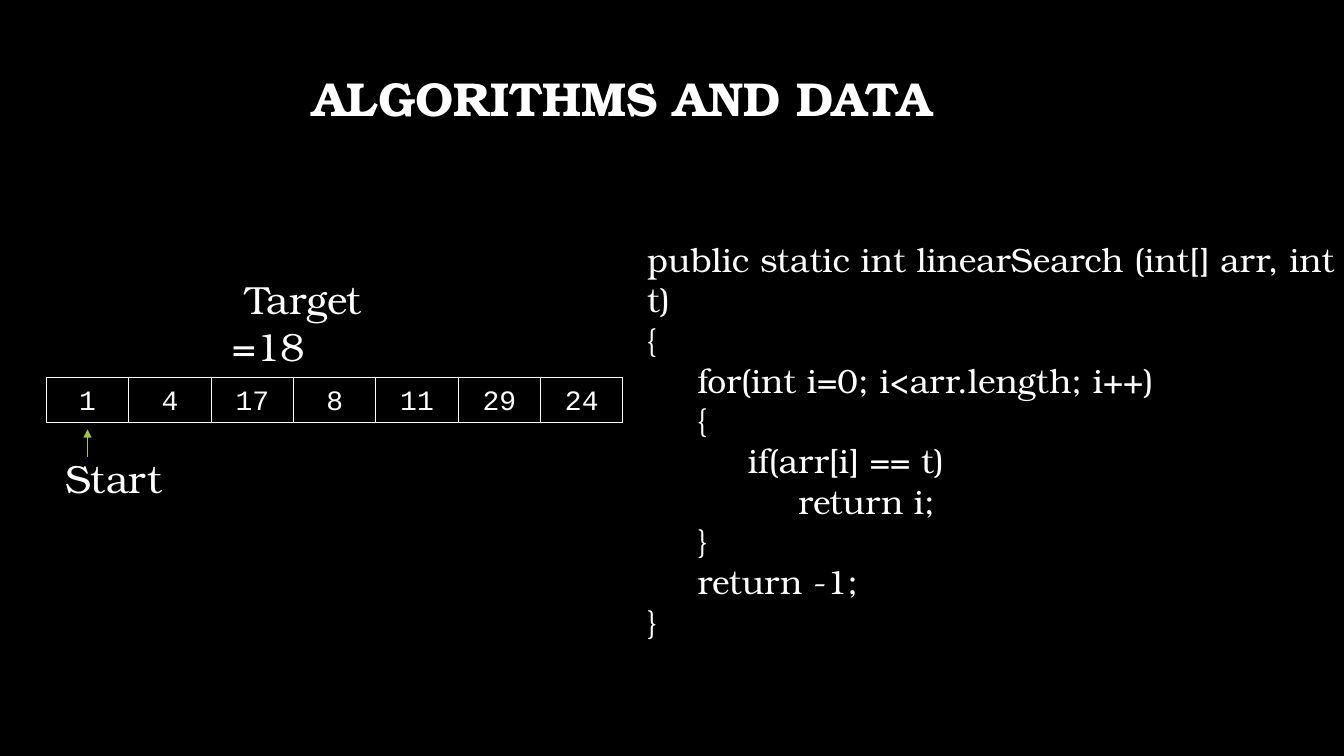
from pptx import Presentation
from pptx.dml.color import RGBColor
from pptx.enum.shapes import MSO_CONNECTOR, MSO_SHAPE
from pptx.enum.text import MSO_ANCHOR, PP_ALIGN
from pptx.oxml.ns import qn
from pptx.util import Inches, Pt
from lxml.etree import SubElement

COLORS = {"background": "000000", "text": "FFFFFF", "arrow": "9EC544"}
SERIF, MONO = "TeX Gyre Bonum", "Courier New"

ARRAY = [1, 4, 17, 8, 11, 29, 24]
CELL_LEFT, CELL_TOP, CELL_PITCH, CELL_HEIGHT = 0.46, 3.75, 0.817, 0.44

# Code lines with their indent in steps of half an inch
CODE = [
    (0, "public static int linearSearch (int[] arr, int t)"),
    (0, "{"),
    (1, "for(int i=0; i<arr.length; i++)"),
    (1, "{"),
    (2, "if(arr[i] == t)"),
    (3, "return i;"),
    (1, "}"),
    (1, "return -1;"),
    (0, "}"),
]


def color(name):
    return RGBColor.from_string(COLORS[name])


def style(p, size, font=SERIF, bold=False):
    for r in p.runs:
        r.font.size = Pt(size)
        r.font.name = font
        r.font.bold = bold
        r.font.color.rgb = color("text")


def add_text(s, box, lines, size, bold=False):
    """Add a text box from (indent, text) lines."""
    sp = s.shapes.add_textbox(*map(Inches, box))
    tf = sp.text_frame
    tf.word_wrap = True
    for i, (indent, text) in enumerate(lines):
        p = tf.add_paragraph() if i else tf.paragraphs[0]
        p.text = text
        if indent:
            p.level = indent
            pPr = p._p.get_or_add_pPr()
            pPr.set("marL", str(Inches(0.5 * indent)))
            pPr.set("indent", "0")
        style(p, size, bold=bold)
    return tf


def add_cell(s, index, value):
    sp = s.shapes.add_shape(
        MSO_SHAPE.RECTANGLE, Inches(CELL_LEFT + index * CELL_PITCH),
        Inches(CELL_TOP), Inches(CELL_PITCH), Inches(CELL_HEIGHT))
    sp.shadow.inherit = False
    sp.fill.background()
    sp.line.color.rgb = color("text")
    sp.line.width = Pt(0.75)
    tf = sp.text_frame
    tf.vertical_anchor = MSO_ANCHOR.TOP
    tf.text = str(value)
    p = tf.paragraphs[0]
    p.alignment = PP_ALIGN.CENTER
    style(p, 20, MONO)


def add_arrow(s, x, y_from, y_to):
    line = s.shapes.add_connector(
        MSO_CONNECTOR.STRAIGHT, *map(Inches, (x, y_from, x, y_to)))
    line.line.color.rgb = color("arrow")
    line.line.width = Pt(1)
    SubElement(line.line._get_or_add_ln(), qn("a:tailEnd"), type="triangle")
    SubElement(line._element.spPr, qn("a:effectLst"))


def main():
    prs = Presentation()
    prs.slide_width, prs.slide_height = Inches(13.33), Inches(7.5)
    s = prs.slides.add_slide(prs.slide_layouts[6])
    s.background.fill.solid()
    s.background.fill.fore_color.rgb = color("background")

    # Title
    tf = add_text(s, (0.51, 0.28, 11.32, 1.45),
                  [(0, "ALGORITHMS AND DATA")], 34, bold=True)
    tf.vertical_anchor = MSO_ANCHOR.MIDDLE
    tf.paragraphs[0].alignment = PP_ALIGN.CENTER
    tf.paragraphs[0].line_spacing = 0.9

    # Array with its start marker and search target
    for i, value in enumerate(ARRAY):
        add_cell(s, i, value)
    add_arrow(s, CELL_LEFT + CELL_PITCH / 2, 4.53, 4.26)
    add_text(s, (0.55, 4.46, 4, 0.57), [(0, "Start")], 28)
    add_text(s, (2.21, 2.68, 2.22, 0.57), [(0, " Target =18")], 28)

    # Search code
    add_text(s, (6.32, 2.32, 7.28, 3.74), CODE, 24)

    prs.save("out.pptx")


if __name__ == "__main__":
    main()
